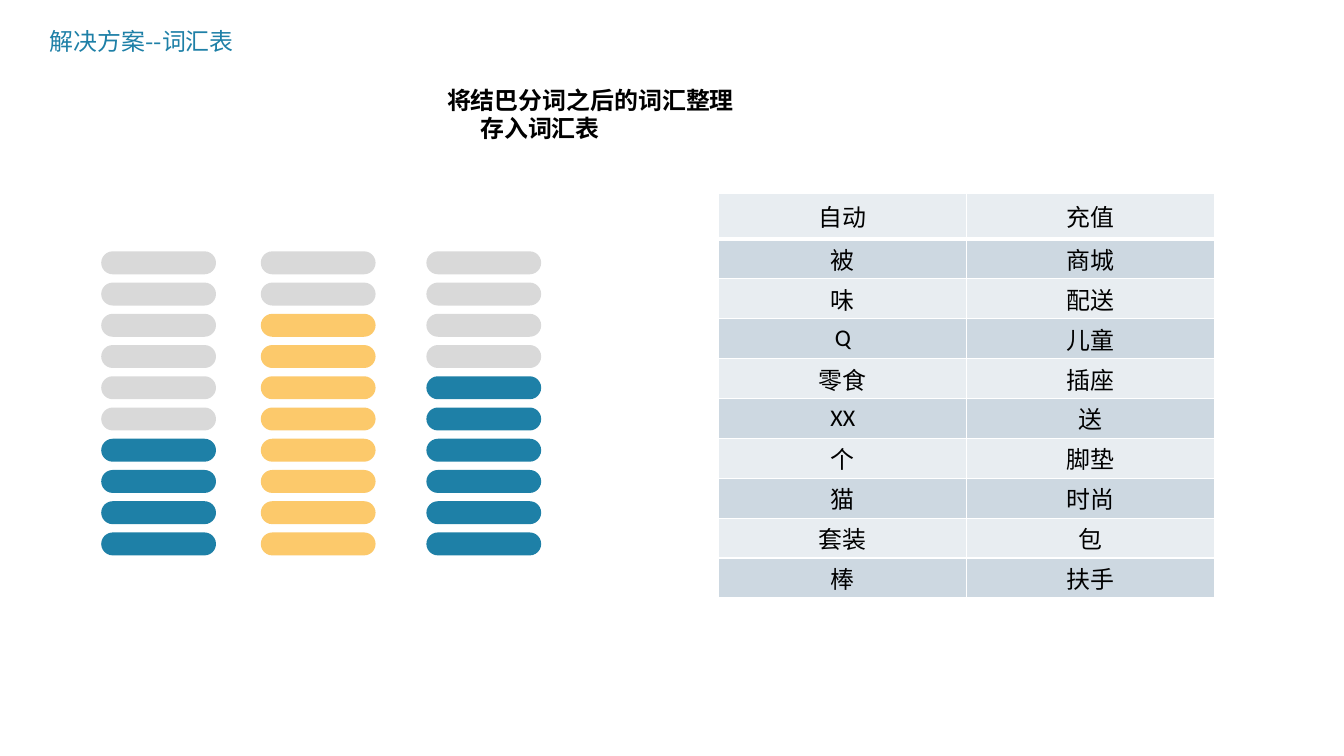
"""Builds the vocabulary slide with three level meters and a word table."""
import pptx
import pptx.dml.color
import pptx.enum.shapes
import pptx.enum.text
import pptx.oxml
import pptx.oxml.ns
import pptx.util

Cm = pptx.util.Cm
Pt = pptx.util.Pt
RGBColor = pptx.dml.color.RGBColor
Align = pptx.enum.text.PP_ALIGN
Anchor = pptx.enum.text.MSO_ANCHOR
AutoSize = pptx.enum.text.MSO_AUTO_SIZE

BLUE = RGBColor(0x1E, 0x80, 0xA7)
YELLOW = RGBColor(0xFC, 0xC9, 0x6B)
GREY = RGBColor(0xD9, 0xD9, 0xD9)
BLACK = RGBColor(0, 0, 0)
WHITE = RGBColor(0xFF, 0xFF, 0xFF)
LIGHT_ROW = RGBColor(0xE8, 0xED, 0xF1)
DARK_ROW = RGBColor(0xCD, 0xD8, 0xE1)

CHINESE_FONT = "Noto Sans CJK SC"
TABLE_FONT = "Calibri"
TEXT_SIZE = Pt(18)

WORDS = [
    ("自动", "充值"),
    ("被", "商城"),
    ("味", "配送"),
    ("Q", "儿童"),
    ("零食", "插座"),
    ("XX", "送"),
    ("个", "脚垫"),
    ("猫", "时尚"),
    ("套装", "包"),
    ("棒", "扶手"),
]
METERS = [(2.69, 4, BLUE), (6.93, 8, YELLOW), (11.33, 6, BLUE)]


class VocabularyPage:
    """Holds the text style and the current slide."""

    def __init__(self, deck):
        self.page = deck.slides.add_slide(deck.slide_layouts[5])

    def add_span(self, para, text, color=BLACK, font=CHINESE_FONT, bold=False):
        span = para.add_run()
        span.text = text
        span.font.size = TEXT_SIZE
        span.font.name = font
        span.font.bold = bold
        span.font.color.rgb = color
        east_asian = pptx.oxml.parse_xml(
            f'<a:ea {pptx.oxml.ns.nsdecls("a")} typeface="{CHINESE_FONT}"/>')
        span.font._element.append(east_asian)

    def title(self, text, left, top, width, height):
        box = self.page.shapes.title
        box.left, box.top = Cm(left), Cm(top)
        box.width, box.height = Cm(width), Cm(height)
        frame = box.text_frame
        frame.auto_size = AutoSize.NONE
        frame.word_wrap = False
        frame.vertical_anchor = Anchor.MIDDLE
        para = frame.paragraphs[0]
        para.alignment = Align.LEFT
        self.add_span(para, text, BLUE)

    def heading(self, lines, left, top, width, height):
        box = self.page.shapes.add_textbox(Cm(left), Cm(top), Cm(width), Cm(height))
        frame = box.text_frame
        frame.word_wrap = False
        for number, (text, indent) in enumerate(lines):
            para = frame.add_paragraph() if number else frame.paragraphs[0]
            para.alignment = Align.LEFT
            para.line_spacing = Pt(21)
            para._p.get_or_add_pPr().set("marL", str(Cm(indent)))
            self.add_span(para, text, bold=True)

    def meter(self, left, level, color, top=6.68, steps=10, pitch=0.83):
        for step in range(steps):
            bar = self.page.shapes.add_shape(
                pptx.enum.shapes.MSO_SHAPE.ROUNDED_RECTANGLE,
                Cm(left), Cm(top + step * pitch), Cm(3.05), Cm(0.61))
            bar.adjustments[0] = 0.5
            bar.shadow.inherit = False
            bar.line.fill.background()
            bar.fill.solid()
            bar.fill.fore_color.rgb = color if step >= steps - level else GREY

    def cell_borders(self, cell, bottom):
        properties = cell._tc.get_or_add_tcPr()
        for side, width in (("L", 1), ("R", 1), ("T", 1), ("B", bottom)):
            properties.append(pptx.oxml.parse_xml(
                f'<a:ln{side} {pptx.oxml.ns.nsdecls("a")} w="{Pt(width)}">'
                f'<a:solidFill><a:srgbClr val="{WHITE}"/></a:solidFill></a:ln{side}>'))

    def table(self, rows, left, top, width, header_height, row_height):
        height = header_height + row_height * (len(rows) - 1)
        table = self.page.shapes.add_table(
            len(rows), len(rows[0]), Cm(left), Cm(top), Cm(width), Cm(height)).table
        for row_number, words in enumerate(rows):
            table.rows[row_number].height = Cm(row_height if row_number else header_height)
            for column_number, word in enumerate(words):
                cell = table.cell(row_number, column_number)
                self.cell_borders(cell, bottom=1 if row_number else 3)
                cell.fill.solid()
                cell.fill.fore_color.rgb = DARK_ROW if row_number % 2 else LIGHT_ROW
                cell.margin_top = cell.margin_bottom = Cm(0)
                cell.vertical_anchor = Anchor.MIDDLE
                para = cell.text_frame.paragraphs[0]
                para.alignment = Align.CENTER
                self.add_span(para, word, font=TABLE_FONT)


def main():
    deck = pptx.Presentation()
    deck.slide_width, deck.slide_height = Cm(35.71), Cm(20.09)
    page = VocabularyPage(deck)
    page.title("解决方案--词汇表", 1.07, 0.58, 6, 1)
    page.heading([("将结巴分词之后的词汇整理", 0), ("存入词汇表", 0.88)], 11.63, 2.18, 8.18, 1.8)
    for left, level, color in METERS:
        page.meter(left, level, color)
    page.table(WORDS, left=19.1, top=5.14, width=13.18, header_height=1.21, row_height=1.06)
    deck.save("out.pptx")


if __name__ == "__main__":
    main()
